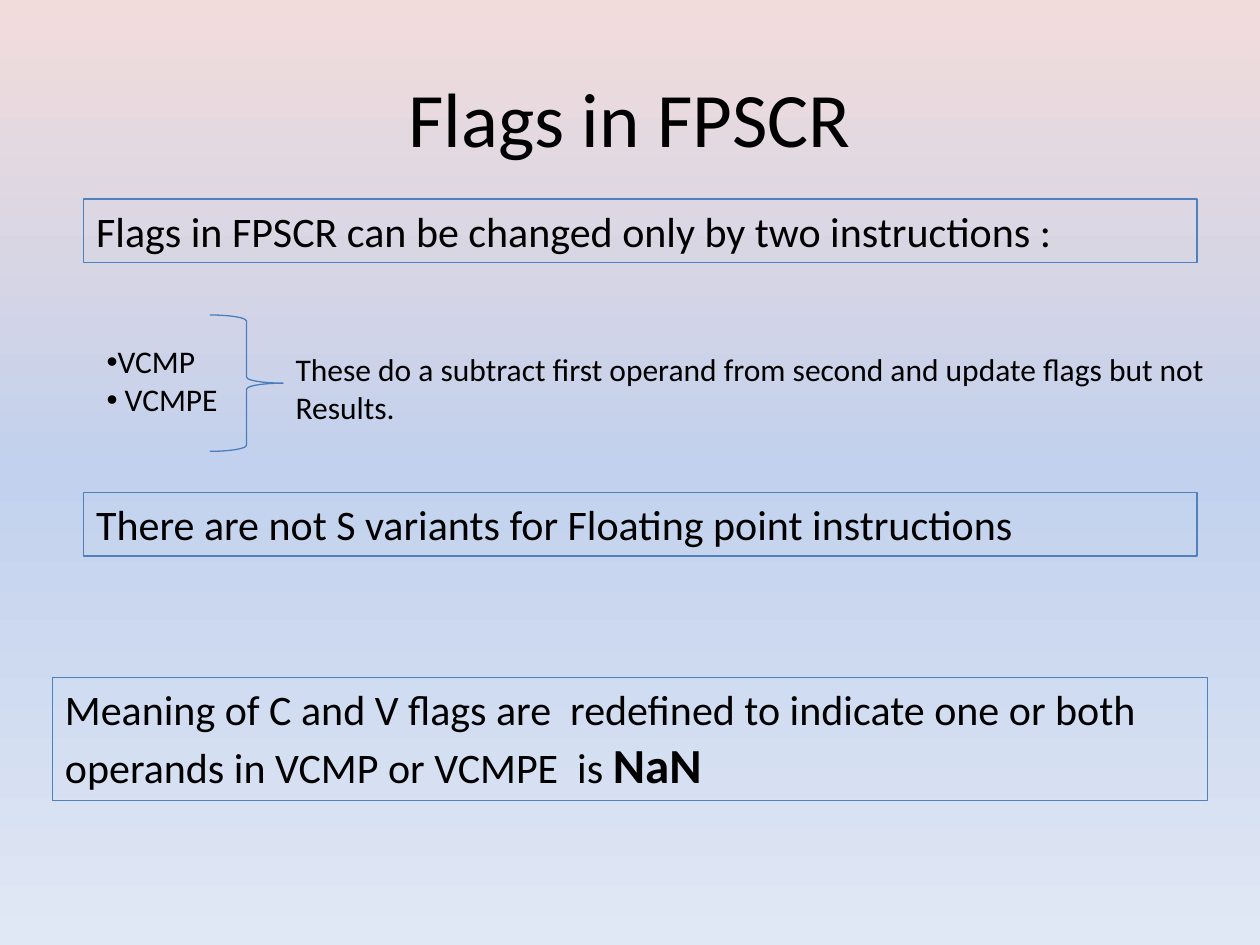
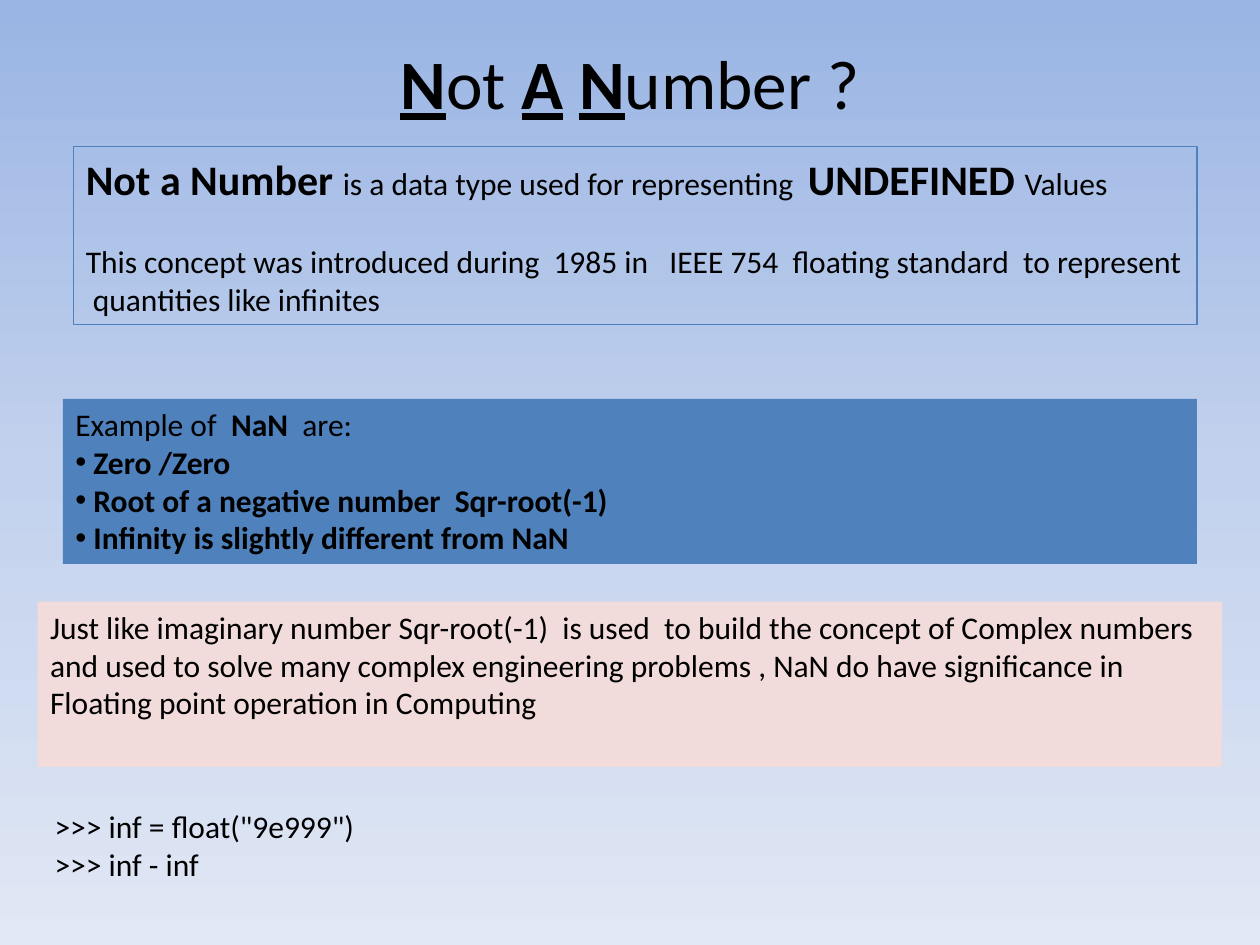
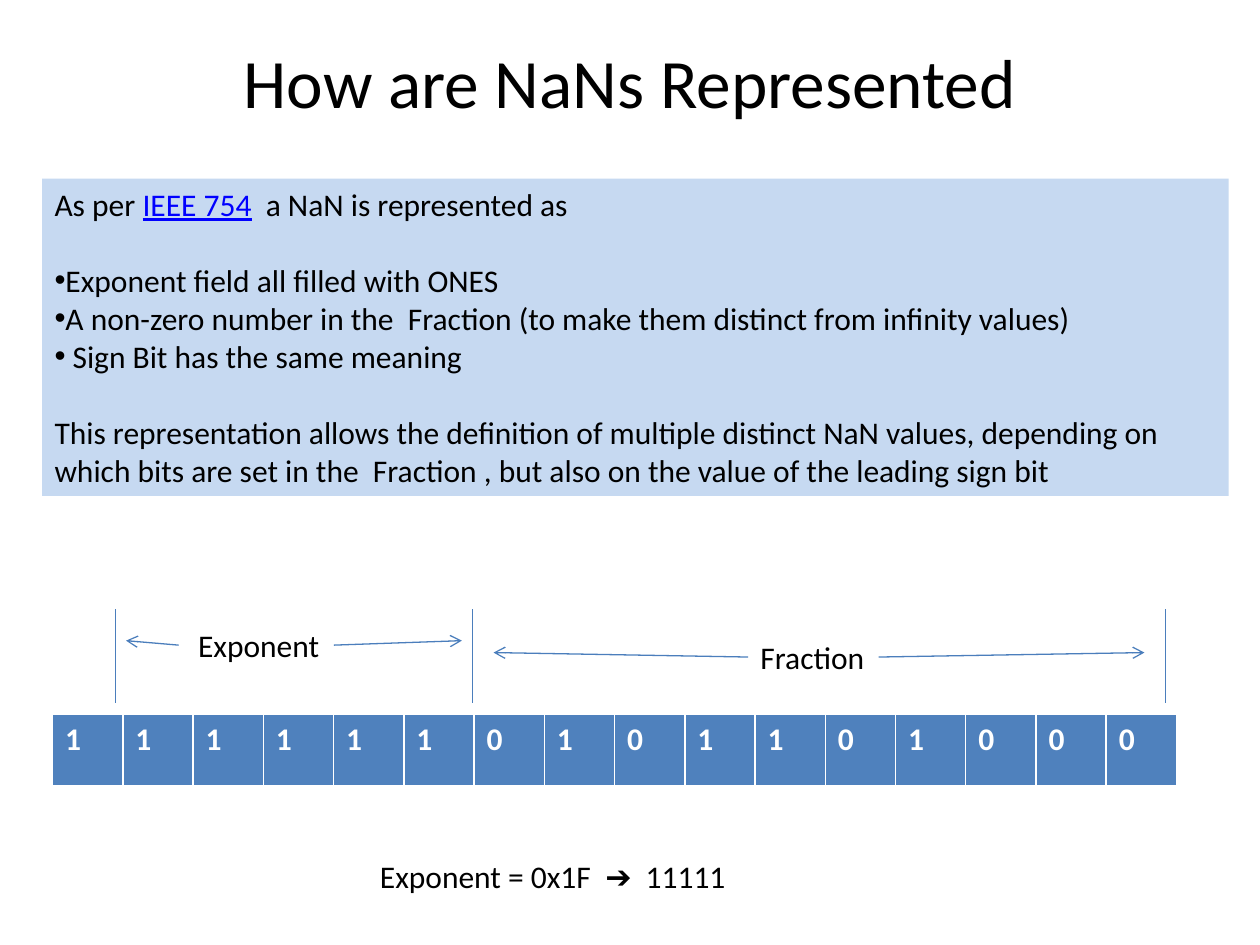
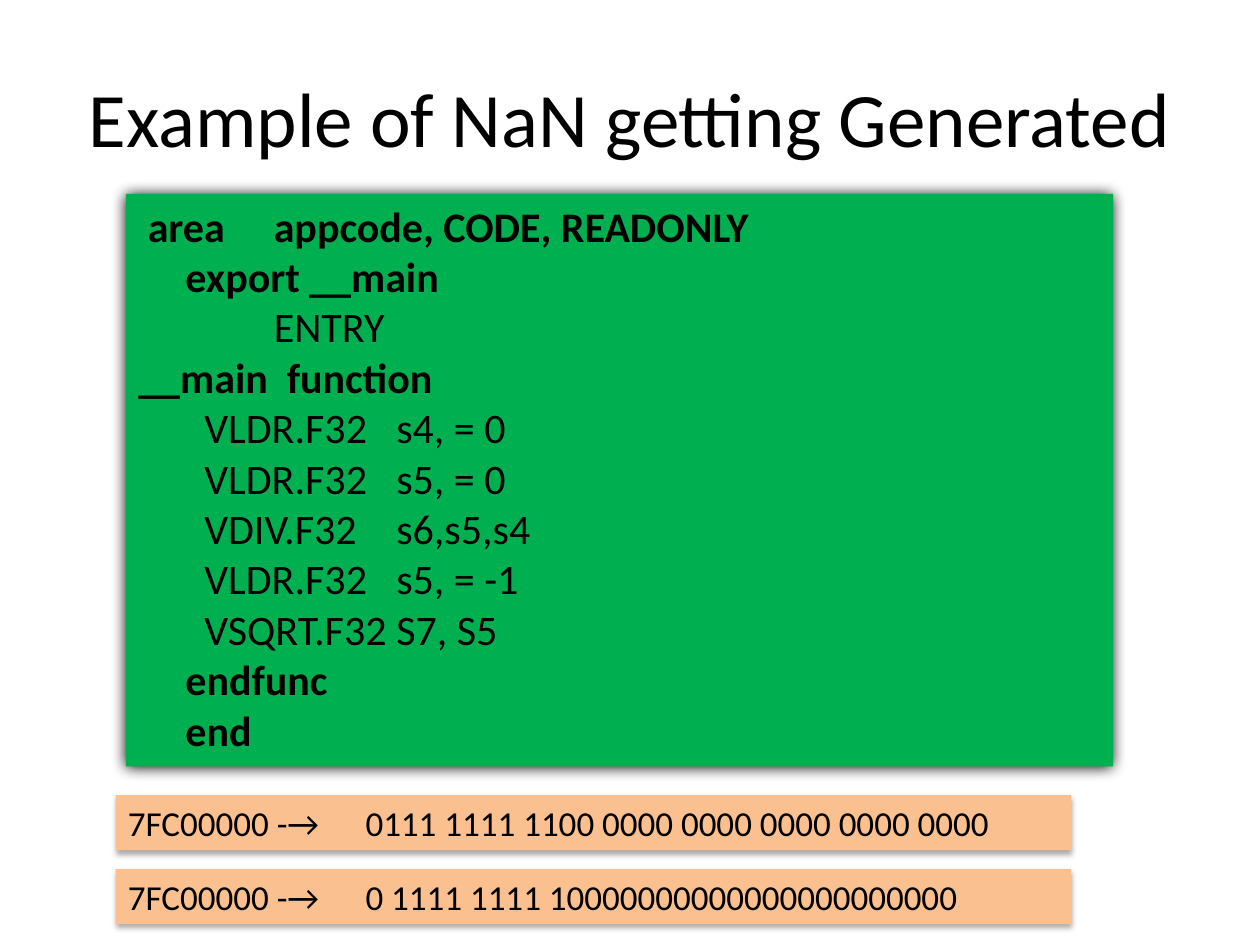
from copy import deepcopy
from dataclasses import dataclass
from typing import Optional

from lxml import etree
from pptx import Presentation
from pptx import util as u
from pptx.dml.color import RGBColor
from pptx.enum import shapes, text
from pptx.oxml.ns import qn

FONT = "Calibri"
BLACK = RGBColor(0, 0, 0)
WHITE = RGBColor(255, 255, 255)
BLUE = RGBColor(0x4F, 0x81, 0xBD)
LINE_BLUE = RGBColor(0x4B, 0x7E, 0xBC)
LINK_BLUE = RGBColor(0, 0, 255)
PALE_BLUE = RGBColor(0xC6, 0xD9, 0xF1)
ROSE = RGBColor(0xF2, 0xDC, 0xDB)
SKY = RGBColor(0x9A, 0xB5, 0xE4)
MIST = RGBColor(0xC2, 0xD1, 0xED)
HAZE = RGBColor(0xE1, 0xE8, 0xF5)
GREEN = RGBColor(0, 0xB0, 0x50)
ORANGE = RGBColor(0xFA, 0xC0, 0x90)

HIGH_TITLE = (1.27, 0.76, 22.86, 3.18)
STRONG_SHADOW = (100, 8.5, 1)
SOFT_SHADOW = (32, 3.5, 2.2)


@dataclass
class Run:
    words: str
    size: Optional[float] = None
    bold: Optional[bool] = None
    underline: Optional[bool] = None
    color: Optional[RGBColor] = None


@dataclass
class Line:
    runs: list
    size: float = 18
    bold: bool = False
    bullet: bool = False
    before: float = 0
    stops: tuple = ()
    color: RGBColor = BLACK
    align: text.PP_ALIGN = text.PP_ALIGN.LEFT


def cm(box):
    return [u.Cm(length) for length in box]


def child(parent, tag, **attributes):
    return etree.SubElement(parent, qn(tag), {k: str(v) for k, v in attributes.items()})


def write(frame, lines, anchor=text.MSO_ANCHOR.TOP, wrap=True):
    frame.word_wrap = wrap
    frame.vertical_anchor = anchor
    for i, line in enumerate(lines):
        paragraph = frame.add_paragraph() if i else frame.paragraphs[0]
        paragraph.alignment = line.align
        if line.before:
            paragraph.space_before = u.Pt(line.before)
        properties = paragraph._p.get_or_add_pPr()
        if line.bullet:
            properties.set("marL", "0")
            properties.set("indent", "0")
            child(properties, "a:buFont", typeface="Arial")
            child(properties, "a:buChar", char="•")
        if line.stops:
            tabs = child(properties, "a:tabLst")
            for stop in line.stops:
                child(tabs, "a:tab", pos=int(u.Cm(stop)), algn="l")
        font = paragraph.font
        font.name, font.size, font.bold = FONT, u.Pt(line.size), line.bold
        font.color.rgb = line.color
        for part in line.runs:
            part = Run(part) if isinstance(part, str) else part
            run = paragraph.add_run()
            run.text = part.words
            if part.size:
                run.font.size = u.Pt(part.size)
            if part.bold is not None:
                run.font.bold = part.bold
            if part.underline:
                run.font.underline = True
            if part.color is not None:
                run.font.color.rgb = part.color


def label(slide, box, lines, **options):
    write(slide.shapes.add_textbox(*cm(box)).text_frame, lines, **options)


def title(slide, box, runs, size=44):
    label(slide, box, [Line(runs, size, align=text.PP_ALIGN.CENTER)],
          anchor=text.MSO_ANCHOR.MIDDLE)


def panel(slide, box, lines, fill=None, shadow=None):
    rect = slide.shapes.add_shape(shapes.MSO_SHAPE.RECTANGLE, *cm(box))
    rect.shadow.inherit = False
    if fill is None:
        rect.fill.background()
        rect.line.color.rgb = BLUE
        rect.line.width = u.Pt(0.75)
    else:
        rect.fill.solid()
        rect.fill.fore_color.rgb = fill
        rect.line.fill.background()
    if shadow:
        opacity, blur, distance = shadow
        effects = rect._element.spPr.find(qn("a:effectLst"))
        outer = child(effects, "a:outerShdw", blurRad=int(u.Pt(blur)),
                      dist=int(u.Pt(distance)), dir=5400000, algn="ctr", rotWithShape=0)
        child(child(outer, "a:srgbClr", val=BLACK), "a:alpha", val=opacity * 1000)
    write(rect.text_frame, lines)


def connect(slide, start, end, arrow=False):
    link = slide.shapes.add_connector(shapes.MSO_CONNECTOR.STRAIGHT, *cm(start + end))
    link.line.color.rgb = LINE_BLUE
    link.line.width = u.Pt(0.75)
    properties = link._element.spPr
    if arrow:
        child(properties.find(qn("a:ln")), "a:tailEnd", type="arrow")
    child(properties, "a:effectLst")


def gradient_background(slide, colors):
    fill = slide.background.fill
    fill.gradient()
    fill.gradient_angle = 270
    stop_list = slide.element.find(".//" + qn("a:gsLst"))
    stop_list.append(deepcopy(stop_list[-1]))
    for i, (stop, color) in enumerate(zip(fill.gradient_stops, colors)):
        stop.position = i / (len(colors) - 1)
        stop.color.rgb = color


def compare_instructions(slide, box):
    left, top, width, height = box
    label(slide, (left, top + 0.43, 2.97, 1.8),
          [Line(["VCMP"], bullet=True), Line([" VCMPE"], bullet=True)])
    brace = slide.shapes.add_shape(shapes.MSO_SHAPE.RIGHT_BRACE,
                                   *cm((left + 2.33, top, 1.48, height)))
    brace.shadow.inherit = False
    brace.fill.background()
    brace.line.color.rgb = LINE_BLUE
    brace.line.width = u.Pt(0.75)
    label(slide, (left + 3.81, top + 0.59, width - 3.81, 1.8),
          [Line(["These do a subtract first operand from second and update flags but not"]),
           Line(["Results."])])


def bit_field(slide, name, box, reach):
    left, top, width, height = box
    label(slide, box, [Line([name])], wrap=False)
    middle = top + height / 2
    for start, end in zip((left, left + width), reach):
        connect(slide, (start, middle), (end, middle - 0.09), arrow=True)


def bit_table(slide, box, bits):
    table = slide.shapes.add_table(1, len(bits), *cm(box)).table
    table.rows[0].height = u.Cm(box[3])
    for column, cell, bit in zip(table.columns, table.rows[0].cells, bits):
        column.width = u.Cm(box[2] / len(bits))
        properties = cell._tc.get_or_add_tcPr()
        for side, width in (("L", 1), ("R", 1), ("T", 1), ("B", 3)):
            border = child(properties, "a:ln" + side, w=int(u.Pt(width)))
            child(child(border, "a:solidFill"), "a:srgbClr", val=WHITE)
        cell.fill.solid()
        cell.fill.fore_color.rgb = BLUE
        write(cell.text_frame, [Line([bit], bold=True, color=WHITE)])


def flags_slide(slide):
    gradient_background(slide, (ROSE, MIST, HAZE))
    title(slide, HIGH_TITLE, ["Flags in FPSCR"])
    statements = ((4.01, "Flags in FPSCR can be changed only by two instructions :"),
                  (9.93, "There are not S variants for Floating point instructions"))
    for top, statement in statements:
        panel(slide, (1.69, top, 22.44, 1.28), [Line([statement], 24)])
    compare_instructions(slide, (1.9, 6.35, 23.01, 2.75))
    panel(slide, (1.06, 13.66, 23.28, 2.48), [Line([
        "Meaning of C and V flags are  redefined to indicate one or both "
        "operands in VCMP or VCMPE  is ", Run("NaN", 28, True)], 24)])


def not_a_number_slide(slide):
    gradient_background(slide, (SKY, MIST, HAZE))
    initial = {"bold": True, "underline": True}
    title(slide, (1.27, 0.76, 22.86, 1.78),
          [Run("N", **initial), "ot ", Run("A", **initial), " ",
           Run("N", **initial), "umber ?"], 39.6)
    panel(slide, (1.48, 2.96, 22.65, 3.59), [
        Line([Run("Not a Number ", 24, True), "is a data type used for representing  ",
              Run("UNDEFINED ", 24, True), "Values"]),
        Line(["This concept was introduced during  1985 in   IEEE 754  floating "
              "standard  to represent  quantities like infinites"], before=22)])
    examples = ("Zero /Zero", "Root of a negative number  Sqr-root(-1)",
                "Infinity is slightly different from NaN")
    panel(slide, (1.27, 8.04, 22.86, 3.33),
          [Line(["Example of  ", Run("NaN ", bold=True), " are:"])]
          + [Line([" ", Run(example, bold=True)], bullet=True) for example in examples],
          BLUE)
    panel(slide, (0.76, 12.13, 23.88, 3.33), [
        Line(["Just like imaginary number Sqr-root(-1)  is used  to build the concept "
              "of Complex numbers"]),
        Line(["and used to solve many complex engineering problems , NaN do have "
              "significance in"]),
        Line(["Floating point operation in Computing"])], ROSE)
    label(slide, (0.85, 16.15, 22.23, 1.8),
          [Line(['>>> inf = float("9e999")']), Line([">>> inf - inf"])])


def representation_slide(slide):
    title(slide, (1.27, 0.64, 22.86, 1.98), ["How are NaNs Represented"], 39.6)
    panel(slide, (0.85, 3.6, 23.92, 6.4), [
        Line(["As per ", Run("IEEE 754", underline=True, color=LINK_BLUE),
              "\u00a0 a NaN is represented as"]),
        Line(["Exponent field all filled with ONES"], bullet=True, before=22),
        Line(["A non-zero number in the\u00a0 Fraction\u00a0(to make them distinct "
              "from infinity values)"], bullet=True),
        Line([" Sign Bit has the same meaning"], bullet=True),
        Line(["This representation allows the definition of multiple distinct NaN "
              "values, depending on which bits are set in the  Fraction , but also on "
              "the value of the leading sign bit"], before=22)], PALE_BLUE)
    bit_table(slide, (1.06, 14.4, 22.66, 1.48), "1111110101101000")
    for x in (2.33, 9.53, 23.5):
        connect(slide, (x, 12.28), (x, 14.18))
    bit_field(slide, " Exponent", (3.6, 12.49, 3.13, 1.03), (2.54, 9.31))
    bit_field(slide, "Fraction", (15.08, 12.73, 2.63, 1.03), (9.95, 23.07))
    label(slide, (7.41, 17.15, 7.87, 1.03), [Line(["Exponent = 0x1F  ➔  11111"])],
          wrap=False)


def code_slide(slide):
    title(slide, HIGH_TITLE, ["Example of NaN getting Generated"])
    instructions = (("VLDR.F32", "s4, = 0"), ("VLDR.F32", "s5, = 0"),
                    ("VDIV.F32", "s6,s5,s4"), ("VLDR.F32", "s5, = -1"),
                    ("VSQRT.F32", "S7, S5"))
    code = [
        Line(["\tarea\tappcode, CODE, READONLY"], 24, True, stops=(0.19, 2.73)),
        Line(["\texport __main"], 24, True, stops=(0.95,)),
        Line(["\tENTRY"], 24, stops=(2.73,)),
        Line(["__main  function"], 24, True)]
    code += [Line([f"\t{name}\t{operands}"], 24, stops=(1.33, 5.2))
             for name, operands in instructions]
    code += [Line(["\t" + word], 24, True, stops=(0.95,)) for word in ("endfunc", "end")]
    panel(slide, (2.54, 3.91, 19.9, 11.54), code, GREEN, STRONG_SHADOW)
    encodings = ("0111 1111 1100 0000 0000 0000 0000 0000",
                 "0 1111 1111 10000000000000000000000")
    for i, bits in enumerate(encodings):
        panel(slide, (2.33, 16.03 + 1.49 * i, 19.26, 1.11),
              [Line(["7FC00000 -→\t" + bits], 20, stops=(4.79,))], ORANGE, SOFT_SHADOW)


deck = Presentation()
deck.slide_width, deck.slide_height = cm((25.4, 19.05))
for build in (flags_slide, not_a_number_slide, representation_slide, code_slide):
    build(deck.slides.add_slide(deck.slide_layouts[6]))
deck.save("out.pptx")
